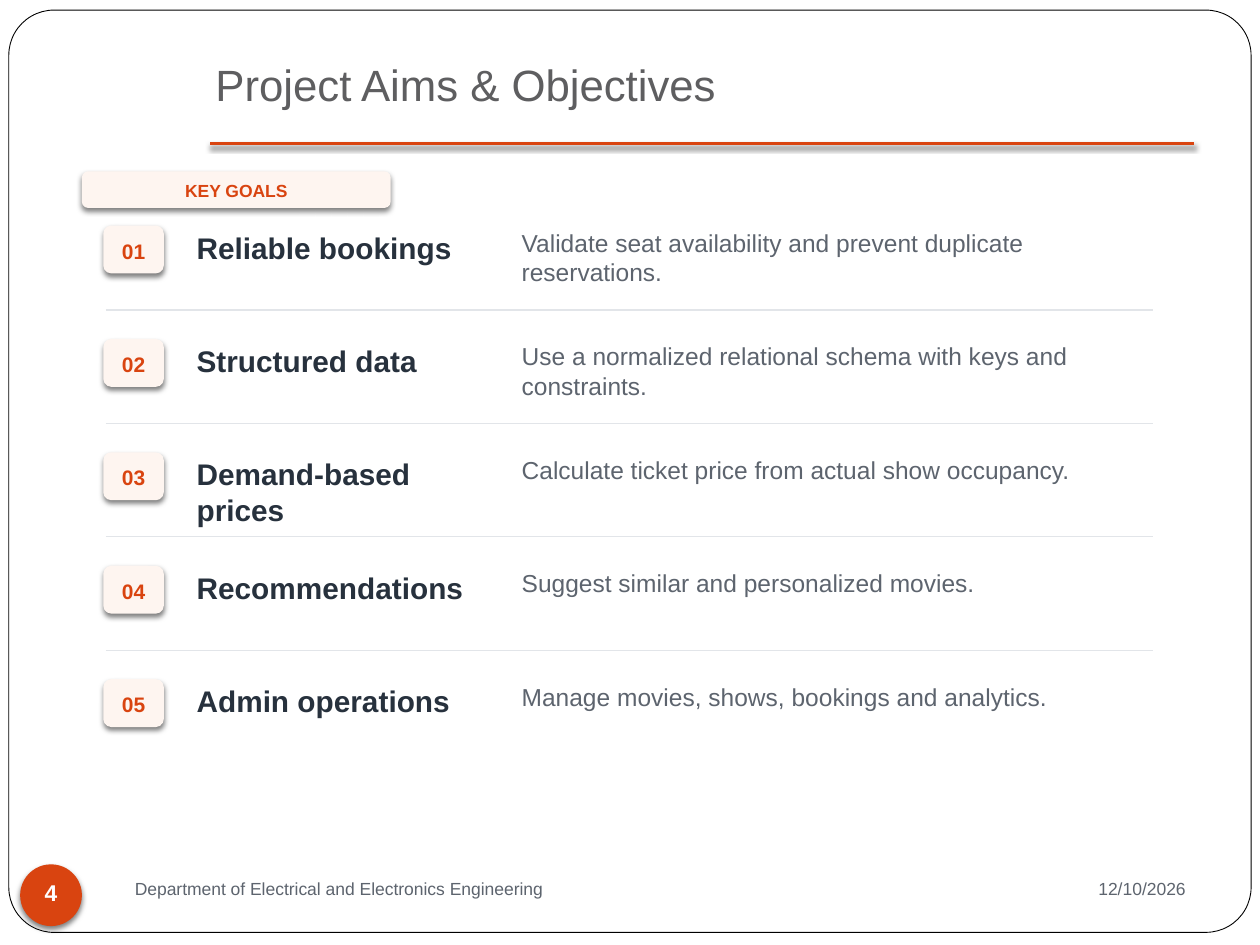
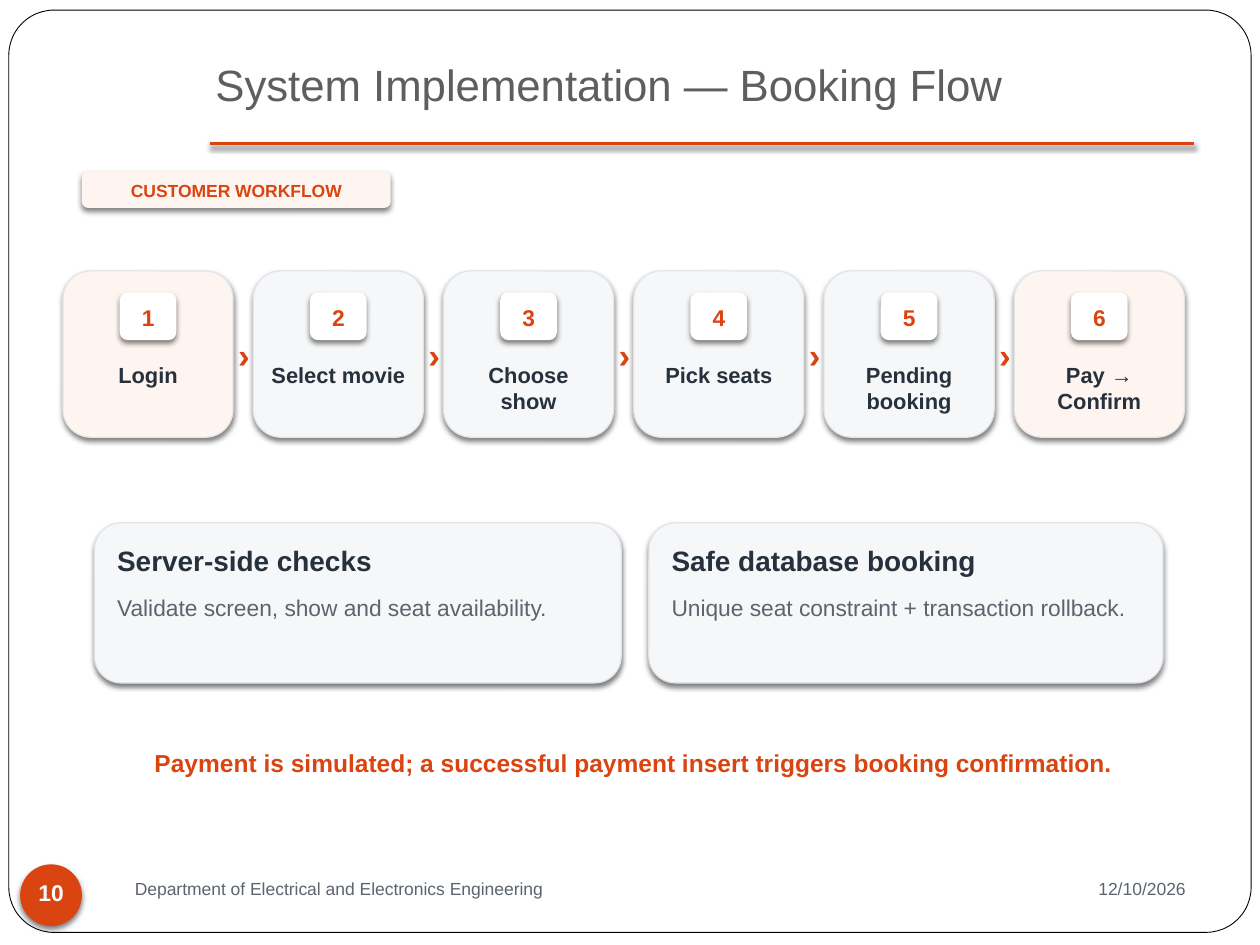
"""Build the project aims slide and the booking flow slide."""
from dataclasses import dataclass

from pptx import Presentation
from pptx import util as u
from pptx.dml.color import RGBColor
from pptx.enum import shapes, text
from pptx.oxml import parse_xml
from pptx.oxml.ns import nsdecls


@dataclass(frozen=True)
class Theme:
    font: str = "Arial"
    accent: str = "D94410"
    tint: str = "FEF5F0"
    panel: str = "F6F7F8"
    rule: str = "E2E5E9"
    ink: str = "27313D"
    muted: str = "5D646E"
    heading: str = "5E5E60"
    white: str = "FFFFFF"
    black: str = "000000"
    title: float = 25
    chevron: float = 20
    goal: float = 17
    card: float = 16
    body: float = 14
    detail: float = 13
    step: float = 12.5
    badge: float = 12
    small: float = 10


T = Theme()
ROUND, OVAL = shapes.MSO_SHAPE.ROUNDED_RECTANGLE, shapes.MSO_SHAPE.OVAL
LEFT, CENTER, RIGHT = text.PP_ALIGN.LEFT, text.PP_ALIGN.CENTER, text.PP_ALIGN.RIGHT
SHADOW = (
    f'<a:effectLst {nsdecls("a")}><a:outerShdw blurRad="38100" dist="25400" dir="5400000" '
    f'rotWithShape="0"><a:srgbClr val="{T.black}"><a:alpha val="50000"/></a:srgbClr>'
    "</a:outerShdw></a:effectLst>"
)


def draw(s, kind, at, fill=None, line=None, width=0.7, shadow=True):
    x, y, w, h = map(u.Inches, at)
    if kind is None:
        sp = s.shapes.add_connector(shapes.MSO_CONNECTOR.STRAIGHT, x, y, x + w, y + h)
    else:
        sp = s.shapes.add_shape(kind, x, y, w, h)
        sp.fill.solid()
        sp.fill.fore_color.rgb = RGBColor.from_string(fill)
    if line:
        sp.line.color.rgb = RGBColor.from_string(line)
        sp.line.width = u.Pt(width)
    else:
        sp.line.fill.background()
    if shadow:
        sp._element.spPr.append(parse_xml(SHADOW))
    else:
        sp.shadow.inherit = False
    return sp


def write(s, words, at, size, color, bold=False, align=LEFT, middle=False):
    tf = s.shapes.add_textbox(*map(u.Inches, at)).text_frame
    frame = {
        "word_wrap": True,
        "auto_size": text.MSO_AUTO_SIZE.SHAPE_TO_FIT_TEXT,
        "vertical_anchor": text.MSO_ANCHOR.MIDDLE if middle else text.MSO_ANCHOR.TOP,
        "margin_left": u.Inches(0.04),
        "margin_right": u.Inches(0.04),
        "margin_top": u.Inches(0.04),
        "margin_bottom": u.Inches(0.02),
    }
    for name, value in frame.items():
        setattr(tf, name, value)
    p = tf.paragraphs[0]
    p.alignment = align
    r = p.add_run()
    r.text = words
    for name, value in {"name": T.font, "size": u.Pt(size), "bold": bold}.items():
        setattr(r.font, name, value)
    r.font.color.rgb = RGBColor.from_string(color)


prs = Presentation()
prs.slide_width, prs.slide_height = u.Inches(10), u.Inches(7.5)

pages = [
    ("Project Aims & Objectives", "4", "KEY GOALS"),
    ("System Implementation — Booking Flow", "10", "CUSTOMER WORKFLOW"),
]
for title, number, tag in pages:
    s = prs.slides.add_slide(prs.slide_layouts[6])
    frame = draw(s, ROUND, (0.07, 0.08, 9.86, 7.32), T.white, T.black, 0.5, shadow=False)
    frame.adjustments[0] = 0.049
    write(s, title, (1.67, 0.42, 7.8, 0.56), T.title, T.heading)
    draw(s, None, (1.67, 1.14, 7.81, 0), line=T.accent, width=1.5)
    draw(s, OVAL, (0.16, 6.86, 0.49, 0.49), T.accent)
    write(s, number, (0.16, 6.87, 0.49, 0.4), T.detail, T.white, True, CENTER, True)
    write(s, "Department of Electrical and Electronics Engineering",
          (1.03, 6.93, 5.7, 0.28), T.small, T.muted)
    write(s, "12/10/2026", (8.45, 6.93, 1, 0.28), T.small, T.muted, align=RIGHT)
    draw(s, ROUND, (0.65, 1.36, 2.45, 0.29), T.tint)
    write(s, tag, (0.65, 1.37, 2.45, 0.27), T.small, T.accent, True, CENTER, True)

aims, flow = prs.slides

goals = [
    ("Reliable bookings", "Validate seat availability and prevent duplicate reservations."),
    ("Structured data", "Use a normalized relational schema with keys and constraints."),
    ("Demand-based prices", "Calculate ticket price from actual show occupancy."),
    ("Recommendations", "Suggest similar and personalized movies."),
    ("Admin operations", "Manage movies, shows, bookings and analytics."),
]
for i, (goal, detail) in enumerate(goals):
    y = 1.79 + 0.9 * i
    if i:
        draw(aims, None, (0.84, y - 0.23, 8.31, 0), line=T.rule)
    draw(aims, ROUND, (0.82, y, 0.48, 0.38), T.tint)
    write(aims, f"{i + 1:02}", (0.82, y + 0.01, 0.48, 0.36), T.badge, T.accent, True, CENTER, True)
    write(aims, goal, (1.52, y - 0.01, 2.45, 0.36), T.goal, T.ink, True)
    write(aims, detail, (4.1, y - 0.02, 5.08, 0.5), T.body, T.muted)

steps = ["Login", "Select movie", "Choose show", "Pick seats", "Pending booking", "Pay → Confirm"]
last = len(steps) - 1
for i, step in enumerate(steps):
    x = 0.5 + 1.51 * i
    draw(flow, ROUND, (x, 2.15, 1.35, 1.32), T.tint if i in (0, last) else T.panel, T.rule)
    draw(flow, ROUND, (x + 0.45, 2.32, 0.45, 0.38), T.white)
    write(flow, str(i + 1), (x + 0.45, 2.33, 0.45, 0.36), T.detail, T.accent, True, CENTER, True)
    write(flow, step, (x + 0.09, 2.83, 1.17, 0.42), T.step, T.ink, True, CENTER)
    if i < last:
        write(flow, "›", (x + 1.35, 2.61, 0.17, 0.34), T.chevron, T.accent, True, CENTER)

cards = [
    (0.75, 4.18, "Server-side checks", "Validate screen, show and seat availability."),
    (5.15, 4.08, "Safe database booking", "Unique seat constraint + transaction rollback."),
]
for x, w, head, detail in cards:
    draw(flow, ROUND, (x, 4.15, w, 1.27), T.panel, T.rule, 0.75)
    write(flow, head, (x + 0.14, 4.27, w - 0.28, 0.35), T.card, T.ink, True)
    write(flow, detail, (x + 0.14, 4.67, w - 0.28, 0.67), T.detail, T.muted)

write(flow, "Payment is simulated; a successful payment insert triggers booking confirmation.",
      (0.83, 5.9, 8.4, 0.38), T.body, T.accent, True, CENTER)

prs.save("out.pptx")
